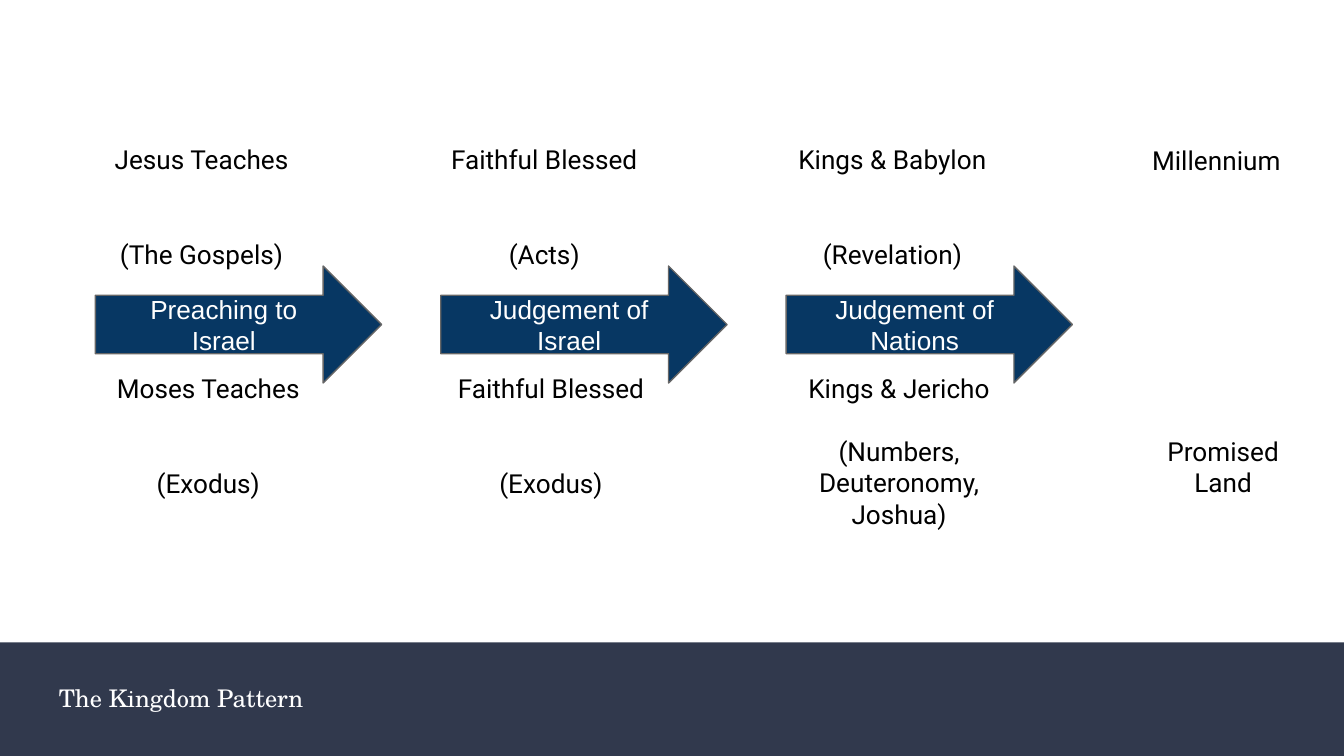
"""Build the Kingdom Pattern slide: three arrows between two rows of captions."""
from dataclasses import dataclass

from pptx import Presentation
from pptx.dml.color import RGBColor as Rgb
from pptx.enum.shapes import MSO_SHAPE as Shape
from pptx.enum.text import MSO_ANCHOR as Anchor, PP_ALIGN as Align
from pptx.util import Inches, Pt

COLUMNS, ROWS = 100, 56.25
CELL = Inches(0.1)
STARTS = (6.7, 32.2, 57.3, 83.9)
WIDTHS = (16.6, 16.6, 18.2, 13.2)
LOWER_SHIFT = 0.5
ARROW_START, ARROW_STEP = 7.1, 25.7

UPPER = (
    ("Jesus Teaches", "(The Gospels)"),
    ("Faithful Blessed", "(Acts)"),
    ("Kings & Babylon", "(Revelation)"),
)
LOWER = (
    ("Moses Teaches", "(Exodus)"),
    ("Faithful Blessed", "(Exodus)"),
    ("Kings & Jericho", "(Numbers, Deuteronomy, Joshua)"),
)
LOWER_LAYOUT = ((8.6, 34), (8.6, 34), (16, 17))
ARROWS = (
    ("Preaching to", "Israel"),
    ("Judgement of", "Israel"),
    ("Judgement of Nations",),
)


@dataclass(frozen=True)
class Theme:
    """Hold the colours, fonts and type sizes of the slide."""
    band: Rgb = Rgb.from_string("31394D")
    arrow: Rgb = Rgb.from_string("073763")
    outline: Rgb = Rgb.from_string("666666")
    light: Rgb = Rgb.from_string("FFFFFF")
    dark: Rgb = Rgb.from_string("000000")
    title_font: str = "TeX Gyre Schola"
    caption_font: str = "Roboto"
    arrow_font: str = "Arial"
    title_size: Pt = Pt(13)
    body_size: Pt = Pt(14)


THEME = Theme()
TITLE = {"name": THEME.title_font, "size": THEME.title_size}
CAPTION = {"name": THEME.caption_font, "size": THEME.body_size}
ARROW = {"name": THEME.arrow_font, "size": THEME.body_size}


def place(*cells):
    """Turn grid cells into slide lengths."""
    return [round(cell * CELL) for cell in cells]


def write(shape, lines, font, color, anchor, align=Align.CENTER, gap=0):
    """Write one paragraph per line, with a gap in points between them."""
    frame = shape.text_frame
    inset = CELL
    frame_format = {
        "word_wrap": True, "vertical_anchor": anchor,
        "margin_left": inset, "margin_right": inset,
        "margin_top": inset, "margin_bottom": inset,
    }
    for name, value in frame_format.items():
        setattr(frame, name, value)
    for index, line in enumerate(lines):
        para = frame.add_paragraph() if index else frame.paragraphs[0]
        para.alignment = align
        if index and gap:
            para.space_before = Pt(gap)
        span = para.add_run()
        span.text = line
        for name, value in font.items():
            setattr(span.font, name, value)
        span.font.color.rgb = color


def add_block(page, kind, cells, fill, outline=None):
    """Add a filled preset shape, outlined only if a colour is given."""
    block = page.shapes.add_shape(kind, *place(*cells))
    block.shadow.inherit = False
    block.fill.solid()
    block.fill.fore_color.rgb = fill
    if outline is None:
        block.line.fill.background()
    else:
        block.line.color.rgb = outline
        block.line.width = Pt(0.75)
    return block


def add_caption(page, cells, lines, gap=0, anchor=Anchor.TOP):
    """Add a centred caption."""
    box = page.shapes.add_textbox(*place(*cells))
    write(box, lines, CAPTION, THEME.dark, anchor, gap=gap)


def add_footer(page, title):
    """Add the dark band with the slide title."""
    add_block(page, Shape.RECTANGLE, (0, 47.8, COLUMNS, ROWS - 47.8), THEME.band)
    box = page.shapes.add_textbox(*place(3.4, 49.4, 87.3, 5))
    write(box, [title], TITLE, THEME.light, Anchor.MIDDLE, Align.LEFT)


def add_arrow(page, index, lines):
    """Add the labelled arrow at the given step."""
    cells = (ARROW_START + index * ARROW_STEP, 19.8, 21.3, 8.7)
    arrow = add_block(page, Shape.RIGHT_ARROW, cells, THEME.arrow, THEME.outline)
    write(arrow, lines, ARROW, THEME.light, Anchor.MIDDLE)


def main():
    """Build and save the deck."""
    deck = Presentation()
    deck.slide_width, deck.slide_height = place(COLUMNS, ROWS)
    page = deck.slides.add_slide(deck.slide_layouts[6])
    add_footer(page, "The Kingdom Pattern")
    for left, width, lines, (height, gap) in zip(STARTS, WIDTHS, LOWER, LOWER_LAYOUT):
        add_caption(page, (left + LOWER_SHIFT, 26.7, width, height), lines, gap)
    for index, lines in enumerate(ARROWS):
        add_arrow(page, index, lines)
    for left, width, lines in zip(STARTS, WIDTHS, UPPER):
        add_caption(page, (left, 9.7, width, 11.2), lines, 34)
    goals = (("Millennium", 0, 9.7), ("Promised Land", LOWER_SHIFT, 32.5))
    for goal, shift, top in goals:
        cells = (STARTS[-1] + shift, top, WIDTHS[-1], 4.4)
        add_caption(page, cells, [goal], anchor=Anchor.MIDDLE)
    deck.save("out.pptx")


if __name__ == "__main__":
    main()
